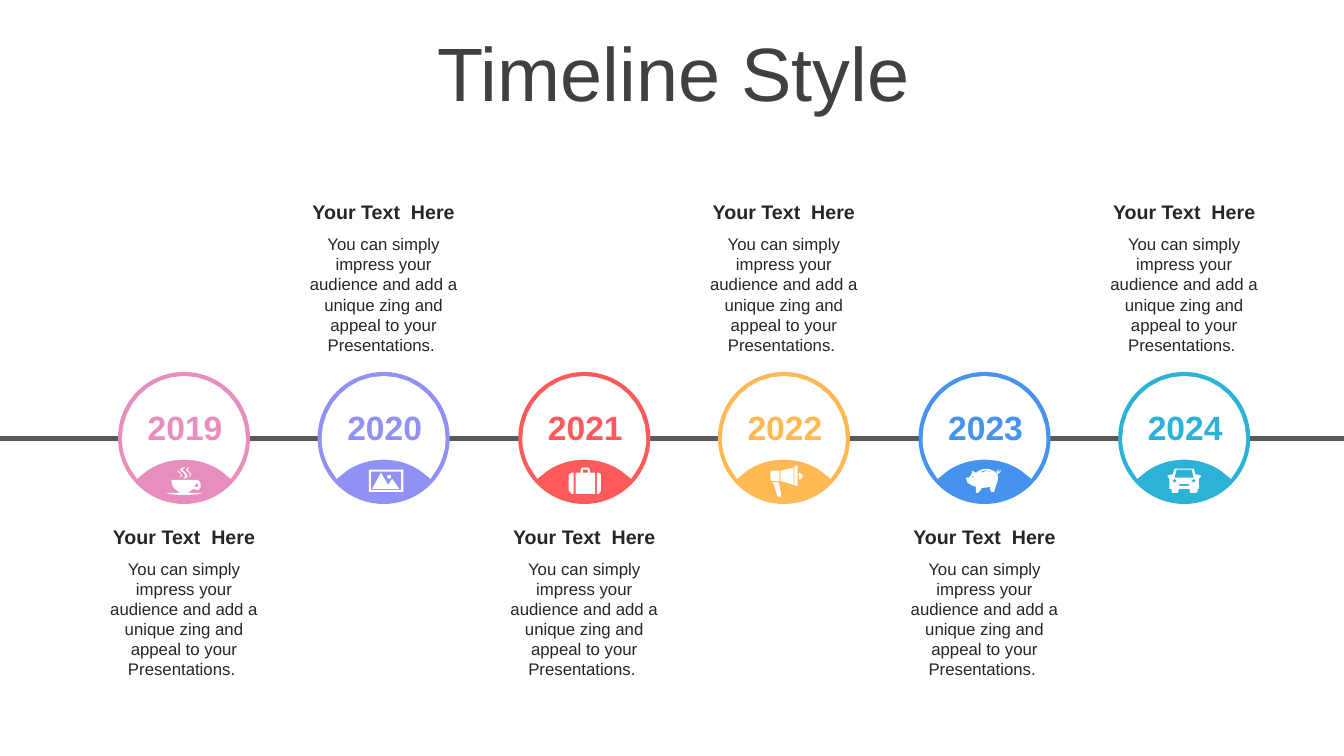
from dataclasses import dataclass
from math import dist

from lxml.etree import SubElement
from pptx import Presentation
from pptx.dml.color import RGBColor as Rgb
from pptx.enum.shapes import MSO_CONNECTOR as Wire, MSO_SHAPE as Kind
from pptx.enum.text import MSO_ANCHOR as Anchor, MSO_AUTO_SIZE as Fit, PP_ALIGN as Align
from pptx.oxml.ns import qn
from pptx.util import Pt


@dataclass(frozen=True)
class Theme:
    font: str = "Arial"
    title: str = "404040"
    ink: str = "262626"
    rail: str = "595959"
    white: str = "FFFFFF"
    big: int = 54
    year: int = 24
    head: int = 14
    body: int = 12
    rule: int = 3


THEME = Theme()
PX = 9144
WIDE, HIGH = 1333, 750
LEFT, TOP, STEP, DISC = 117, 369, 198.4, 131
HEAD = "Your Text  Here"
BODY = "You can simply impress your audience and add a unique zing and appeal to your Presentations. "

WINDOW = """M 65.5 4 C 99.5 4 127 32 127 66 C 127 78 123 90 116 100 L 112 106 L 102 98
C 92 91 79 87 65.5 87 C 52 87 39 91 29 98 L 19 106 L 15 100
C 8 90 4 78 4 66 C 4 32 31.5 4 65.5 4"""
CUP = """M 30 16 C 30 17 29 19 28 20 C 29 21 30 21 31 20 L 32 18 C 32 17 31 16 30 16
M 30 13 C 32 13 34 15 34 17 C 35 19 34 22 32 23 C 30 23 28 23 27 22 L 24 24
L 22 26 L 36 26 C 35 27 27 28 18 28 C 8 28 0 27 0 26 L 14 26
L 11 24 C 7 22 5 18 5 13
M 14 2 C 13 3 12 3 12 4 C 13 7 16 6 16 9 C 16 10 15 10 13 11 C 14 10 15 10 15 8
C 15 7 12 6 11 5 C 10 4 11 3 14 2
M 23 0 C 22 2 21 2 21 3 C 21 6 26 6 25 8 C 25 10 24 10 22 11 C 23 10 24 9 24 8
C 24 6 21 6 20 4 C 19 3 20 1 23 0
M 19 0 C 17 1 16 1 16 3 C 16 6 22 6 21 9 C 21 11 20 11 17 12 C 19 11 19 10 19 9
C 19 6 16 6 14 4 C 13 2 15 1 19 0"""
PHOTO = """M 20 5 L 21.5 5.5 L 22 7 L 21.5 8.5 L 20 9 L 18.5 8.5 L 18 7 L 18.5 5.5
M 12 3 L 19 15 L 23 9 L 30 19 L 3 19 M 2 2 L 2 20 L 32 20 L 32 2
M 0 0 L 34 0 L 34 22 L 0 22"""
CASE = """M 28 5 L 30 5 L 32 7 L 32 23 C 32 25 31 26 30 26 L 28 26
M 3 5 L 5 5 L 5 26 L 3 26 C 2 26 0 25 0 23 L 0 7 C 0 6 2 5 3 5
M 14 2 L 14 5 L 19 5 L 19 2
M 13 0 L 20 0 L 21 2 L 21 5 L 26 5 L 26 26 L 7 26 L 7 5 L 12 5 L 12 2"""
HORN = """M 8 16 L 9 19 L 11 29 L 10 31 L 9 31 L 7 30 L 4 20 L 2 16
M 28 7 C 30 7 32 9 32 10 C 32 12 30 14 29 14 C 29 12 28 9 28 7
M 1 5 L 9 5 L 9 15 L 1 15 L 0 14 L 0 7
M 23 2 L 23 19 L 10 15 L 10 5
M 25 0 L 27 0 L 27 20 L 25 20 L 24 19 L 24 1"""
PIG = """M 7 7 L 6 8 L 7 9 L 8 8
M 32 2 L 31 3 L 32 4 L 32.5 3
M 20 2 C 18 2 17 2 15 3 L 16 4 C 18 2 22 2 24 3 L 25 3 C 23 2 22 2 20 2
M 20 0 C 23 0 28 2 30 4 L 30 5 L 31 4 L 30 3 C 30 1 31 1 32 1
L 33 3 C 33 3 34 3 35 1 C 35 3 34 4 32 5 L 31 6 L 32 8
C 32 11 31 15 30 16 C 29 19 29 21 28 23 C 28 24 25 24 25 23 C 24 22 24 20 24 18
C 21 19 18 19 16 19 C 15 21 14 22 12 24 L 10 24 L 10 18
C 7 17 -1 15 0 9 L 3 9 C 4 7 5 7 6 5 C 6 4 5 2 6 2 C 8 1 9 3 10 4
C 12 2 17 0 20 0"""
CAR = """M 12 15 L 11 16 L 12 17 L 21 17 L 22 16 L 21 15
M 26 10 L 24 12 L 26 14 L 28 12
M 7 10 L 5 12 L 7 14 L 9 12
M 9 1 L 7 9 L 26 9 L 24 1
M 7 0 L 26 0 L 28 6 L 31 6 L 33 7 L 33 8 L 31 10 L 31 20 L 30 20
L 30 23 L 28 24 L 23 24 L 22 23 L 22 20 L 11 20 L 11 23
L 10 24 L 5 24 L 4 23 L 4 20 L 2 20 L 2 10 L 0 8 L 0 7 L 2 6 L 5 6"""

STOPS = [
    ("2019", "E78EBE", CUP, 48, 94),
    ("2020", "9191F5", PHOTO, 51, 97),
    ("2021", "FE5A5B", CASE, 50, 95),
    ("2022", "FFB954", HORN, 52, 93),
    ("2023", "4592EF", PIG, 47, 96),
    ("2024", "2CB2D7", CAR, 49, 96),
]


def emu(*sizes):
    return [round(size * PX) for size in sizes]


def paint(shape, color):
    shape.shadow.inherit = False
    shape.fill.solid()
    shape.fill.fore_color.rgb = Rgb.from_string(color)
    shape.line.fill.background()


def write(slide, box, text, size, color, bold=False, anchor=Anchor.MIDDLE, fit=Fit.SHAPE_TO_FIT_TEXT):
    frame = slide.shapes.add_textbox(*emu(*box)).text_frame
    frame.word_wrap = True
    frame.auto_size = fit
    frame.vertical_anchor = anchor
    para = frame.paragraphs[0]
    para.alignment = Align.CENTER
    run = para.add_run()
    run.text = text
    run.font.name = THEME.font
    run.font.size = Pt(size)
    run.font.bold = bold
    run.font.color.rgb = Rgb.from_string(color)
    return para


def trace(outline):
    loops, tokens = [], iter(outline.split())
    for mark in tokens:
        count = 3 if mark == "C" else 1
        nodes = [(float(next(tokens)), float(next(tokens))) for _ in range(count)]
        if mark == "M":
            loops.append(nodes)
        elif mark == "L":
            loops[-1] += nodes
        else:
            a, (b, c, d) = loops[-1][-1], nodes
            steps = min(8, 1 + int(dist(a, d) / 5))
            for t in (n / steps for n in range(1, steps + 1)):
                u = 1 - t
                loops[-1].append(tuple(
                    u**3 * a[k] + 3 * u * u * t * b[k] + 3 * u * t * t * c[k] + t**3 * d[k]
                    for k in (0, 1)))
    return loops


def draw(slide, x, y, outline):
    pen = None
    for loop in trace(outline):
        spots = [emu(x + a, y + b) for a, b in loop]
        if pen is None:
            pen = slide.shapes.build_freeform(*spots[0])
        else:
            pen.move_to(*spots[0])
        pen.add_line_segments(spots[1:], close=True)
    paint(pen.convert_to_shape(), THEME.white)


def add_rail(slide, y):
    rail = slide.shapes.add_connector(Wire.STRAIGHT, *emu(0, y, WIDE, y))
    rail.line.color.rgb = Rgb.from_string(THEME.rail)
    rail.line.width = Pt(THEME.rule)
    SubElement(rail._element.spPr, qn("a:effectLst"))


def add_note(slide, x, y):
    write(slide, (x, y, 171, 34), HEAD, THEME.head, THEME.ink, bold=True)
    write(slide, (x, y + 34, 171, 131), BODY, THEME.body, THEME.ink, anchor=Anchor.TOP)


def add_badge(slide, x, y, year, color, icon, dx, dy):
    paint(slide.shapes.add_shape(Kind.OVAL, *emu(x, y, DISC, DISC)), color)
    draw(slide, x, y, WINDOW)
    draw(slide, x + dx, y + dy, icon)
    write(slide, (x + 2, y + 30, 129, 50), year, THEME.year, color, bold=True)


def main():
    deck = Presentation()
    deck.slide_width, deck.slide_height = emu(WIDE, HIGH)
    slide = deck.slides.add_slide(deck.slide_layouts[6])
    title = write(slide, (35, 37, 1266, 79), "Timeline Style", THEME.big, THEME.title, fit=Fit.NONE)
    title.line_spacing = 0.9
    add_rail(slide, TOP + 66)
    for i, stop in enumerate(STOPS):
        x = round(LEFT + i * STEP)
        add_note(slide, x - 20, 193 if i % 2 else 515)
        add_badge(slide, x, TOP, *stop)
    deck.save("out.pptx")


if __name__ == "__main__":
    main()
